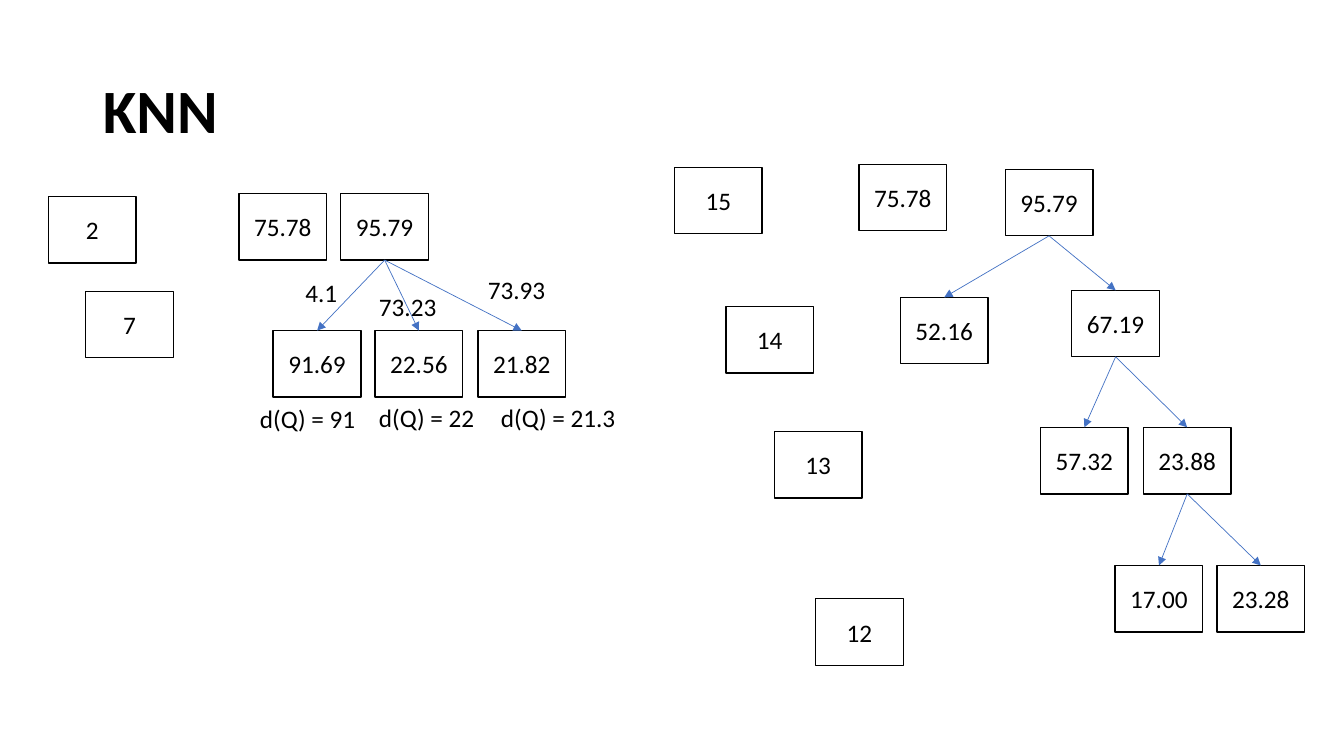
from lxml.etree import SubElement
from pptx import Presentation
from pptx.dml.color import RGBColor
from pptx.enum.shapes import MSO_CONNECTOR as Connector, MSO_SHAPE as Preset
from pptx.enum.text import MSO_ANCHOR as Anchor, MSO_AUTO_SIZE as AutoSize, PP_ALIGN as Align
from pptx.oxml.ns import qn
from pptx.util import Inches, Pt

NODE_W, NODE_H = 0.87, 0.66
LABEL_H = 0.4
BOTTOM, TOP = 2, 0
BODY_FONT = {"name": "Calibri", "size": Pt(18), "bold": False}
TITLE_FONT = {"name": "Calibri", "size": Pt(44), "bold": True}


def color(hex_value):
    return RGBColor.from_string(hex_value)


def write(frame, text, font_format, align=Align.LEFT):
    frame.text = text
    paragraph = frame.paragraphs[0]
    paragraph.alignment = align
    font = paragraph.runs[0].font
    for attribute, value in font_format.items():
        setattr(font, attribute, value)
    font.color.rgb = color("000000")
    return paragraph


def add_node(slide, text, left, top):
    node = slide.shapes.add_shape(
        Preset.RECTANGLE, Inches(left), Inches(top), Inches(NODE_W), Inches(NODE_H))
    node.shadow.inherit = False
    node.fill.solid()
    node.fill.fore_color.rgb = color("FFFFFF")
    node.line.color.rgb = color("000000")
    node.line.width = Pt(1)
    node.text_frame.vertical_anchor = Anchor.MIDDLE
    write(node.text_frame, text, BODY_FONT, Align.CENTER)
    return node


def add_label(slide, text, left, top, width):
    label = slide.shapes.add_textbox(
        Inches(left), Inches(top), Inches(width), Inches(LABEL_H))
    label.text_frame.word_wrap = True
    label.text_frame.auto_size = AutoSize.SHAPE_TO_FIT_TEXT
    write(label.text_frame, text, BODY_FONT)


def add_branch(slide, parent, child):
    branch = slide.shapes.add_connector(Connector.STRAIGHT, 0, 0, 0, 0)
    branch.begin_connect(parent, BOTTOM)
    branch.end_connect(child, TOP)
    branch.line.color.rgb = color("4472C4")
    branch.line.width = Pt(0.5)
    SubElement(branch.line._get_or_add_ln(), qn("a:tailEnd"), type="triangle")
    SubElement(branch._element.spPr, qn("a:effectLst"))


def add_title(slide, left, top, width, height):
    title = slide.shapes.title
    box = {"left": left, "top": top, "width": width, "height": height}
    for attribute, value in box.items():
        setattr(title, attribute, Inches(value))
    title.text_frame.vertical_anchor = Anchor.MIDDLE
    write(title.text_frame, "KNN", TITLE_FONT).line_spacing = 0.9


def add_tree(slide, left, top, nodes, branches, labels=()):
    """Places nodes and labels by their offset from the tree's corner."""
    placed = {text: add_node(slide, text, left + dx, top + dy)
              for text, dx, dy in nodes}
    for parent, children in branches.items():
        for child in children:
            add_branch(slide, placed[parent], placed[child])
    for text, dx, dy, width in labels:
        add_label(slide, text, left + dx, top + dy, width)


# Offsets are in inches
QUERY_NODES = [
    ("7", 0.37, 0.97), ("2", 0, 0.03),
    ("75.78", 1.89, 0), ("95.79", 2.9, 0),
    ("91.69", 2.23, 1.36), ("22.56", 3.24, 1.36), ("21.82", 4.26, 1.36),
]
QUERY_BRANCHES = {"95.79": ["91.69", "22.56", "21.82"]}
QUERY_LABELS = [
    ("4.1", 2.45, 0.78, 0.55), ("73.23", 3.18, 0.92, 0.79), ("73.93", 4.26, 0.75, 0.79),
    ("d(Q) = 91", 2, 2.03, 1.19), ("d(Q) = 22", 3.18, 2.02, 1.19),
    ("d(Q) = 21.3", 4.39, 2.02, 1.46),
]

SEARCH_NODES = [
    ("15", 0, 0.03), ("14", 0.51, 1.41), ("13", 0.99, 2.65), ("12", 1.4, 4.31),
    ("75.78", 1.83, 0), ("95.79", 3.28, 0.05),
    ("52.16", 2.24, 1.32), ("67.19", 3.94, 1.25),
    ("57.32", 3.63, 2.61), ("23.88", 4.65, 2.61),
    ("17.00", 4.37, 3.98), ("23.28", 5.38, 3.98),
]
SEARCH_BRANCHES = {
    "95.79": ["67.19", "52.16"],
    "67.19": ["23.88", "57.32"],
    "23.88": ["23.28", "17.00"],
}


def main():
    deck = Presentation()
    deck.slide_width, deck.slide_height = Inches(13.33), Inches(7.5)
    slide = deck.slides.add_slide(deck.slide_layouts[5])
    add_title(slide, 0.92, 0.4, 11.5, 1.45)
    # Left: distances one level below the root
    add_tree(slide, 0.48, 1.92, QUERY_NODES, QUERY_BRANCHES, QUERY_LABELS)
    # Right: descent through four levels
    add_tree(slide, 6.69, 1.63, SEARCH_NODES, SEARCH_BRANCHES)
    deck.save("out.pptx")


if __name__ == "__main__":
    main()
